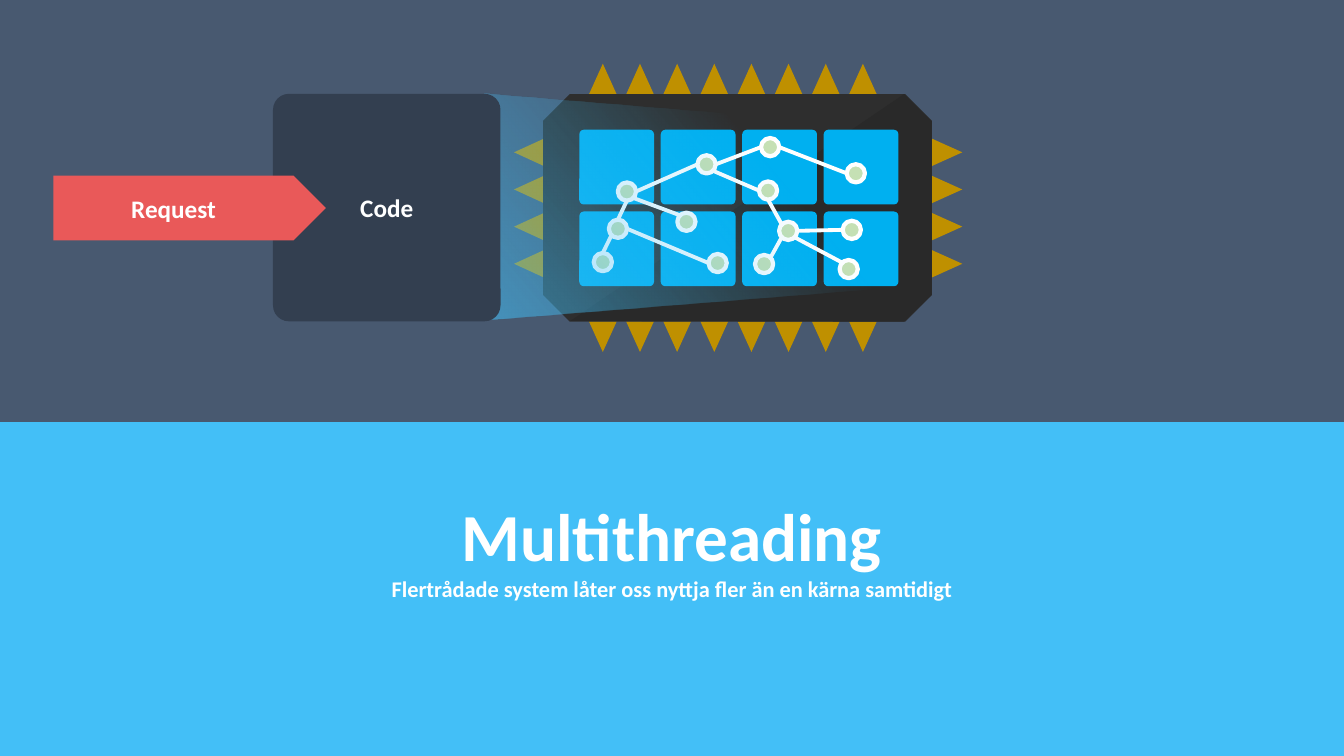
from math import cos, radians, sin

from pptx import Presentation
from pptx.dml.color import RGBColor
from pptx.enum.shapes import MSO_CONNECTOR as Connector, MSO_SHAPE as Preset
from pptx.enum.text import MSO_ANCHOR as Anchor, PP_ALIGN as Align
from pptx.oxml import parse_xml
from pptx.oxml.ns import nsdecls, qn
from pptx.util import Pt

COLORS = {
    "background": "485970", "banner": "43BFF7", "pin": "BF9000",
    "chip": "2E2E2E", "shade": "292929", "core": "00B0F0",
    "thread": "FFFFFF", "node": "C5E0B4", "code": "333F50",
    "request": "E95959", "text": "FFFFFF",
}
FONT = "Calibri"


def color(name):
    return RGBColor.from_string(COLORS[name])


class Painter:
    """Draws on one slide in one style; all lengths are in points."""

    def __init__(self, slide):
        self.slide = slide
        self.shapes = slide.shapes

    def background(self, fill):
        self.slide.background.fill.solid()
        self.slide.background.fill.fore_color.rgb = color(fill)

    def finish(self, shape, fill):
        shape.shadow.inherit = False
        shape.line.fill.background()
        if fill:
            shape.fill.solid()
            shape.fill.fore_color.rgb = color(fill)
        else:
            shape.fill.background()
        return shape

    def shape(self, preset, left, top, width, height, fill, adjustments=()):
        shape = self.shapes.add_shape(
            preset, Pt(left), Pt(top), Pt(width), Pt(height))
        for index, value in enumerate(adjustments):
            shape.adjustments[index] = value
        return self.finish(shape, fill)

    def polygon(self, points, fill=None):
        corners = [(Pt(x), Pt(y)) for x, y in points]
        builder = self.shapes.build_freeform(*corners[0])
        builder.add_line_segments(corners[1:], close=True)
        return self.finish(builder.convert_to_shape(), fill)

    def fading_polygon(self, points, tint, alpha, fade_end, angle):
        properties = self.polygon(points)._element.spPr
        stops = "".join(
            f'<a:gs pos="{position * 1000}"><a:srgbClr val="{COLORS[tint]}">'
            f'<a:alpha val="{opacity * 1000}"/></a:srgbClr></a:gs>'
            for position, opacity in ((0, alpha), (fade_end, 0)))
        gradient = parse_xml(
            f'<a:gradFill {nsdecls("a")} rotWithShape="1"><a:gsLst>{stops}'
            f'</a:gsLst><a:lin ang="{angle * 60000}" scaled="0"/></a:gradFill>')
        properties.replace(properties.find(qn("a:noFill")), gradient)

    def line(self, start, end, stroke, width):
        connector = self.shapes.add_connector(
            Connector.STRAIGHT, *(Pt(value) for value in (*start, *end)))
        connector.line.color.rgb = color(stroke)
        connector.line.width = Pt(width)
        connector._element.spPr.append(
            parse_xml(f'<a:effectLst {nsdecls("a")}/>'))

    def node(self, center, diameter):
        x, y = center
        shape = self.shape(Preset.OVAL, x - diameter / 2, y - diameter / 2,
                           diameter, diameter, "node")
        shape.line.color.rgb = color("thread")
        shape.line.width = Pt(3)

    def text(self, shape, lines):
        frame = shape.text_frame
        frame.word_wrap = True
        frame.vertical_anchor = Anchor.MIDDLE
        frame.text = "\n".join(line for line, size in lines)
        for paragraph, (line, size) in zip(frame.paragraphs, lines):
            paragraph.alignment = Align.CENTER
            for run in paragraph.runs:
                run.font.name = FONT
                run.font.size = Pt(size)
                run.font.bold = True
                run.font.color.rgb = color("text")


def draw_chip(painter):
    # Pins on all four sides
    half, step = 9.9, 26.54
    for column in range(8):
        x = 430.6 + column * step
        for base, tip in ((67.4, 45.5), (229.6, 251.4)):
            painter.polygon([(x - half, base), (x, tip), (x + half, base)], "pin")
    for row in range(4):
        y = 108.8 + row * step
        for base, tip in ((388.8, 367.2), (665.4, 687.4)):
            painter.polygon([(base, y - half), (tip, y), (base, y + half)], "pin")

    # Body with its darker half
    painter.shape(Preset.OCTAGON, 388, 67.2, 277.6, 162.6, "chip", [0.117])
    painter.polygon([(407.5, 229.2), (645.8, 67.2), (665.4, 86.6),
                     (665.4, 210.8), (645.8, 229.8)], "shade")

    # Cores
    for row in range(2):
        for column in range(4):
            painter.shape(Preset.ROUNDED_RECTANGLE, 413.8 + column * 58.2,
                          92.7 + row * 58.4, 53.4, 53.4, "core", [0.062])


def draw_threads(painter):
    diameter = 13
    nodes = {
        "a": (447.8, 136.8), "b": (504.7, 117.4), "c": (441.4, 163.4),
        "d": (430.6, 187.2), "e": (490.3, 158.4), "f": (512.6, 187.9),
        "g": (548.6, 136.1), "h": (563, 164.9), "i": (545.8, 188.6),
        "j": (606.2, 192.2), "k": (608.4, 164.2), "m": (550.1, 105.1),
        "n": (611.3, 123.8),
    }
    # Each end: node and the clockwise angle on its rim, from the right
    threads = [
        ("b", 180, "a", 0), ("a", 90, "c", 270), ("c", 135, "d", 270),
        ("a", 45, "e", 225), ("c", 0, "f", 180), ("g", 90, "h", 225),
        ("h", 135, "i", 315), ("h", 45, "j", 225), ("b", 45, "g", 180),
        ("h", 0, "k", 180), ("m", 180, "b", 0), ("m", 0, "n", 180),
    ]

    def rim(name, angle):
        x, y = nodes[name]
        return (x + diameter / 2 * cos(radians(angle)),
                y + diameter / 2 * sin(radians(angle)))

    for first, leaving, second, arriving in threads:
        painter.line(rim(first, leaving), rim(second, arriving), "thread", 2.75)
    for center in nodes.values():
        painter.node(center, diameter)


def main():
    presentation = Presentation()
    presentation.slide_width, presentation.slide_height = Pt(960), Pt(540)
    slide = presentation.slides.add_slide(presentation.slide_layouts[6])
    painter = Painter(slide)
    painter.background("background")

    draw_chip(painter)
    draw_threads(painter)

    # Title banner, its text raised by a deep bottom margin
    banner = painter.shape(Preset.RECTANGLE, 0, 301.5, 960, 238.5, "banner")
    banner.text_frame.margin_bottom = Pt(62)
    painter.text(banner, [
        ("Multithreading", 48),
        ("Flertrådade system låter oss nyttja fler än en kärna samtidigt", 16),
    ])

    # Beam from the code onto the chip
    painter.fading_polygon(
        [(346.3, 67.2), (639.4, 91.4), (644.4, 93.6), (646.6, 98.6),
         (646.6, 198), (644.4, 203), (639.4, 205.2), (348.5, 228.5)],
        "banner", alpha=56, fade_end=68, angle=320)

    # Code and the request entering it
    code = painter.shape(Preset.ROUNDED_RECTANGLE, 195, 67, 162.5, 162.5,
                         "code", [0.07])
    painter.text(code, [("Code", 18)])
    request = painter.shape(Preset.RIGHT_ARROW, 38.2, 125.5, 194.6, 46.2,
                            "request", [1, 0.5])
    painter.text(request, [("Request", 18)])

    presentation.save("out.pptx")


if __name__ == "__main__":
    main()
